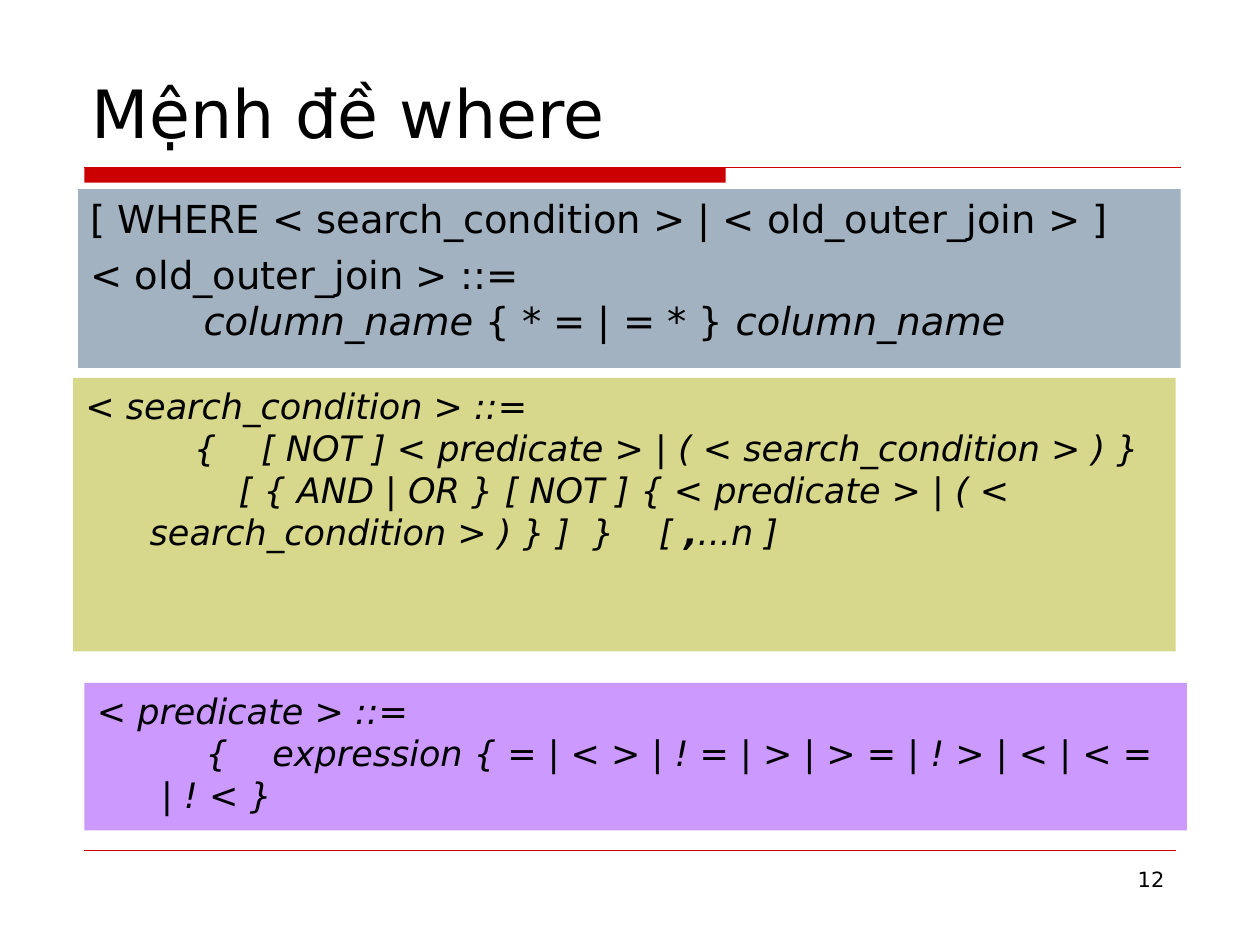
"""Build the slide on the syntax of the WHERE clause."""
from dataclasses import dataclass
from typing import Optional

import pptx
import pptx.dml.color
import pptx.enum.shapes
import pptx.enum.text
import pptx.oxml.ns
import pptx.slide
import pptx.util
from lxml import etree

Inches = pptx.util.Inches
Color = pptx.dml.color.RGBColor
Align = pptx.enum.text.PP_ALIGN
Anchor = pptx.enum.text.MSO_ANCHOR


@dataclass(frozen=True)
class Theme:
    font: str = "DejaVu Sans"
    text: Color = Color(0, 0, 0)
    accent: Color = Color(0xCC, 0, 0)
    clause_fill: Color = Color(0xA3, 0xB2, 0xC1)
    condition_fill: Color = Color(0xD8, 0xD8, 0x8C)
    predicate_fill: Color = Color(0xCC, 0x99, 0xFF)
    title_size: int = 38
    clause_size: int = 22
    syntax_size: int = 20
    number_size: int = 12


@dataclass(frozen=True)
class Run:
    text: str
    italic: Optional[bool] = None
    bold: Optional[bool] = None


@dataclass(frozen=True)
class TextBox:
    left: float
    top: float
    width: float
    height: float
    size: int
    paragraphs: list[list[list[Run]]]
    fill: Optional[Color] = None
    italic: bool = False
    hanging: float = 0
    align: Align = Align.LEFT
    anchor: Anchor = Anchor.TOP


THEME = Theme()
BOX_WIDTH = 8.75
HANGING = 0.51

TEXT_BOXES = [
    TextBox(7.17, 6.83, 2.17, 0.52, THEME.number_size, [[[Run("12")]]], align=Align.RIGHT),
    TextBox(0.63, 0.33, BOX_WIDTH, 0.92, THEME.title_size, [[[Run("Mệnh đề where")]]],
            anchor=Anchor.BOTTOM),
    TextBox(0.62, 1.5, BOX_WIDTH, 1.42, THEME.clause_size, [
        [[Run("[ WHERE < search_condition > | < old_outer_join > ]")]],
        [[Run("< old_outer_join > ::=")],
         [Run("    "), Run("column_name", italic=True), Run(" { * = | = * } "),
          Run("column_name", italic=True)]],
    ], THEME.clause_fill, hanging=HANGING),
    TextBox(0.58, 3, BOX_WIDTH, 2.17, THEME.syntax_size, [
        [[Run("< search_condition > ::=")],
         [Run("    {    [ NOT ] < predicate > | ( < search_condition > ) }")],
         [Run("        [ { AND | OR } [ NOT ] { < predicate > | ( < search_condition > ) } ]  }    [ "),
          Run(",", bold=True), Run("...n ]")]],
    ], THEME.condition_fill, italic=True, hanging=HANGING),
    TextBox(0.67, 5.42, BOX_WIDTH, 1.17, THEME.syntax_size, [
        [[Run("< predicate > ::=")],
         [Run("    {    expression { = | < > | ! = | > | > = | ! > | < | < = | ! < }")]],
    ], THEME.predicate_fill, italic=True, hanging=HANGING),
]


def add_text_box(slide: pptx.slide.Slide, box: TextBox) -> None:
    """Draw a text box with its paragraphs, lines and runs."""
    shape = slide.shapes.add_textbox(
        Inches(box.left), Inches(box.top), Inches(box.width), Inches(box.height))
    if box.fill is not None:
        shape.fill.solid()
        shape.fill.fore_color.rgb = box.fill
    frame = shape.text_frame
    frame.word_wrap = True
    frame.vertical_anchor = box.anchor
    for index, lines in enumerate(box.paragraphs):
        paragraph = frame.add_paragraph() if index else frame.paragraphs[0]
        paragraph.alignment = box.align
        if index:
            paragraph.space_before = pptx.util.Pt(box.size / 4)
        if box.hanging:
            properties = paragraph._p.get_or_add_pPr()
            properties.set("marL", str(Inches(box.hanging)))
            properties.set("indent", str(-Inches(box.hanging)))
        paragraph.font.name = THEME.font
        paragraph.font.size = pptx.util.Pt(box.size)
        paragraph.font.color.rgb = THEME.text
        paragraph.font.italic = box.italic
        for line_number, line in enumerate(lines):
            if line_number:
                paragraph.add_line_break()
            for part in line:
                run = paragraph.add_run()
                run.text = part.text
                run.font.italic = part.italic
                run.font.bold = part.bold


def add_rule(slide: pptx.slide.Slide, left: float, right: float, top: float, weight: float) -> None:
    """Draw a horizontal accent line."""
    rule = slide.shapes.add_connector(
        pptx.enum.shapes.MSO_CONNECTOR.STRAIGHT,
        Inches(left), Inches(top), Inches(right), Inches(top))
    rule.line.color.rgb = THEME.accent
    rule.line.width = pptx.util.Pt(weight)
    etree.SubElement(rule._element.spPr, pptx.oxml.ns.qn("a:effectLst"))


def add_title_bar(slide: pptx.slide.Slide) -> None:
    """Draw the thick accent bar below the title."""
    bar = slide.shapes.add_shape(
        pptx.enum.shapes.MSO_SHAPE.RECTANGLE,
        Inches(0.67), Inches(1.33), Inches(5.09), Inches(0.12))
    bar.shadow.inherit = False
    bar.fill.solid()
    bar.fill.fore_color.rgb = THEME.accent
    bar.line.fill.background()


def main() -> None:
    """Build the slide and save it."""
    presentation = pptx.Presentation()
    presentation.slide_width = Inches(10)
    presentation.slide_height = Inches(7.5)
    slide = presentation.slides.add_slide(presentation.slide_layouts[6])
    add_title_bar(slide)
    add_rule(slide, 0.67, 9.37, 1.33, 0.75)
    add_rule(slide, 0.67, 9.33, 6.75, 0.25)
    for box in TEXT_BOXES:
        add_text_box(slide, box)
    presentation.save("out.pptx")


if __name__ == "__main__":
    main()
